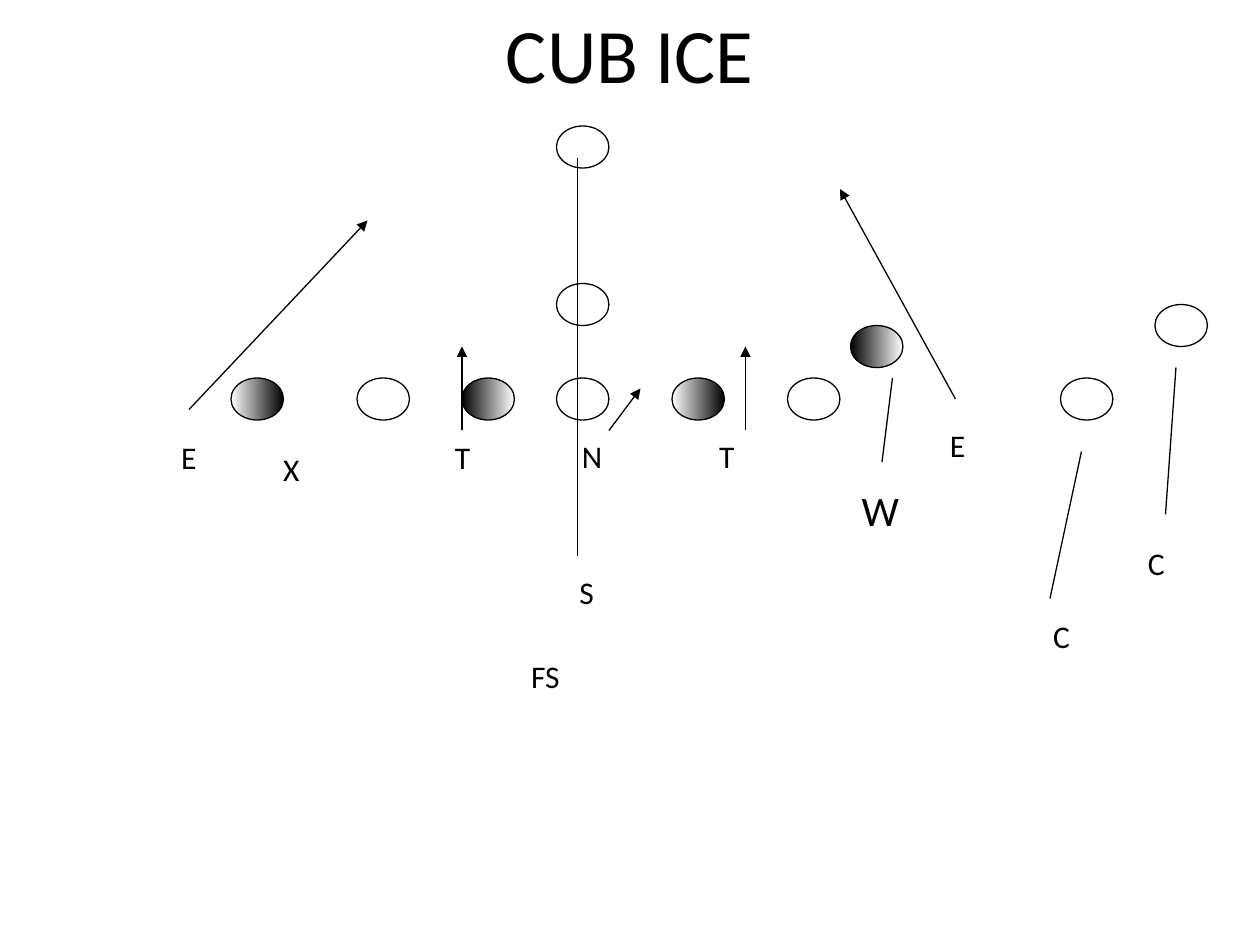
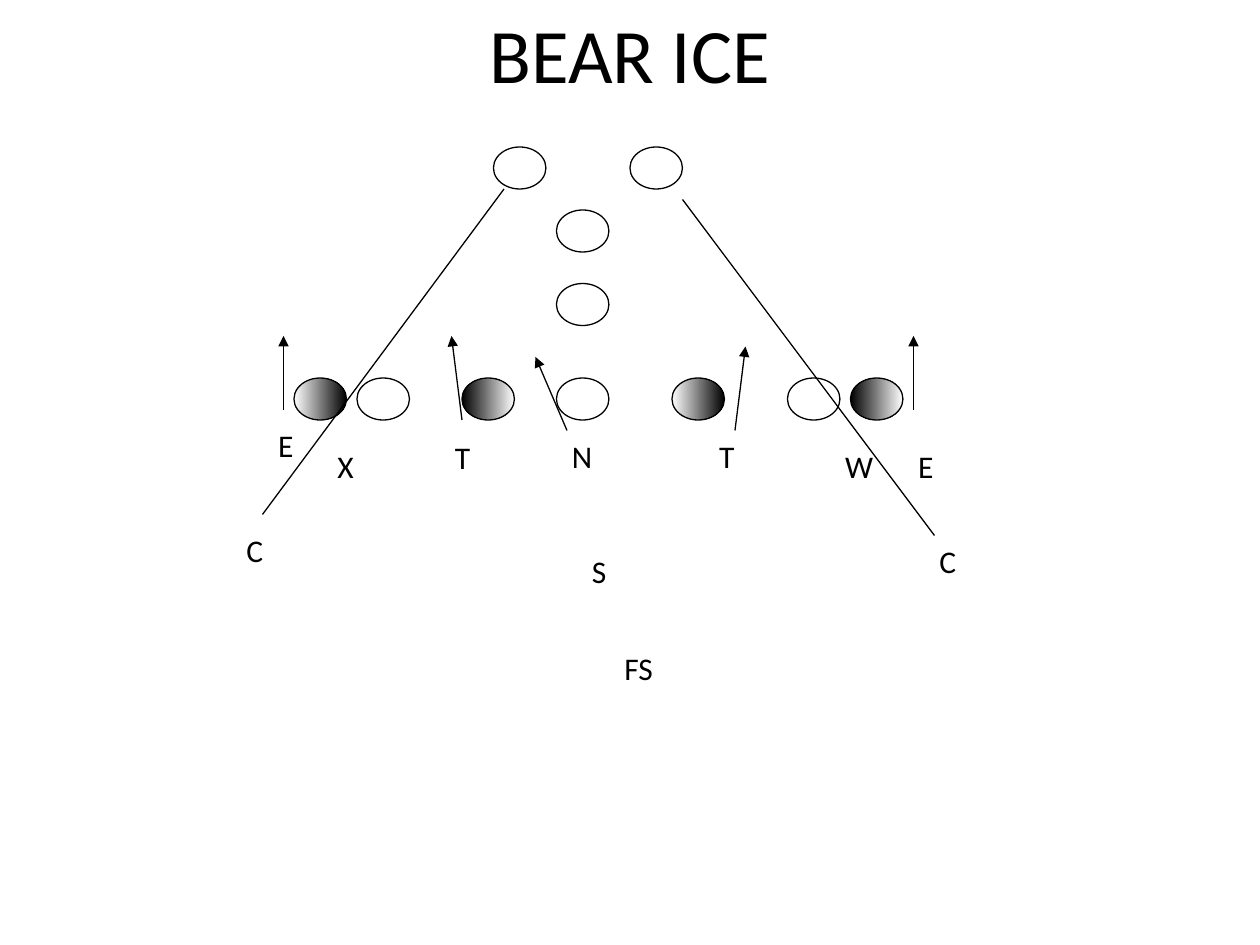
from lxml.etree import SubElement
from pptx import Presentation
from pptx.dml.color import RGBColor
from pptx.enum.shapes import MSO_CONNECTOR as CONN, MSO_SHAPE as SHAPE
from pptx.enum.text import MSO_ANCHOR as ANCHOR, MSO_AUTO_SIZE as AUTO, PP_ALIGN as ALIGN
from pptx.oxml.ns import qn
from pptx.util import Cm, Pt

COLORS = {"ink": "000000", "paper": "FFFFFF"}
INK = RGBColor.from_string(COLORS["ink"])
PAPER = RGBColor.from_string(COLORS["paper"])
FONT = "Calibri"
LINE = Pt(0.75)

# Players and lines sit on a grid with 12 steps to the inch
STEP = 2.54 / 12
FILLS = {"open": (PAPER,), "left": (INK, PAPER), "right": (PAPER, INK)}
LABEL_WIDTHS = {"C": 0.84, "E": 0.81, "N": 0.91, "T": 0.81,
                "X": 0.84, "S": 0.79, "FS": 1.09, "W": 1.07}

# Players: column, row, shaded side
OFFENSE = [(34, 36, "open"), (44, 36, "left"), (53, 36, "open"),
           (64, 36, "right"), (75, 36, "open"), (53, 27, "open")]
# Labels: text, left and top in cm, size in points
TACKLES = [("T", 8.92, 8.71, 18), ("T", 14.25, 8.69, 18)]

PLAYS = [
    {
        "title": "CUB ICE",
        "players": [(22, 36, "right"), (110, 29, "open"), (53, 12, "open"),
                    (101, 36, "open"), (81, 31, "left")],
        "labels": [("E", 3.4, 8.71, 18), ("X", 5.46, 8.94, 18), ("N", 11.48, 8.69, 18),
                   ("W", 17.12, 9.65, 24), ("E", 18.9, 8.46, 18), ("S", 11.43, 11.43, 18),
                   ("FS", 10.46, 13.13, 18), ("C", 20.98, 12.32, 18),
                   ("C", 22.89, 10.85, 18)],
        "rushes": [(18, 39, 35, 21), (44, 41, 44, 33), (58, 41, 61, 37),
                   (71, 41, 71, 33), (91, 38, 80, 18)],
        "coverage": [(55, 53, 55, 15), (84, 44, 85, 36), (100, 57, 103, 43),
                     (111, 49, 112, 35)],
    },
    {
        "title": "BEAR ICE",
        "players": [(28, 36, "right"), (81, 36, "left"), (47, 14, "open"),
                    (60, 14, "open"), (53, 20, "open")],
        "labels": [("E", 5.36, 8.46, 18), ("X", 6.55, 8.89, 18), ("N", 11.28, 8.69, 18),
                   ("W", 16.79, 8.89, 18), ("E", 18.26, 8.89, 18), ("C", 4.72, 10.59, 18),
                   ("S", 11.68, 11, 18), ("FS", 12.34, 12.95, 18), ("C", 18.69, 10.8, 18)],
        "rushes": [(27, 39, 27, 32), (44, 40, 43, 32), (54, 41, 51, 34),
                   (70, 41, 71, 33), (87, 39, 87, 32)],
        "coverage": [(25, 49, 48, 18), (65, 19, 89, 51)],
    },
]


def grid(*steps):
    return [Cm(n * STEP) for n in steps]


def write(tf, text, size=18, align=ALIGN.LEFT, wrap=False, fit=AUTO.SHAPE_TO_FIT_TEXT):
    tf.word_wrap = wrap
    tf.auto_size = fit
    tf.vertical_anchor = ANCHOR.TOP
    p = tf.paragraphs[0]
    p.alignment = align
    r = p.add_run()
    r.text = text
    r.font.name = FONT
    r.font.size = Pt(size)
    r.font.color.rgb = INK


prs = Presentation()
prs.slide_width, prs.slide_height = Cm(25.4), Cm(19.05)

for play in PLAYS:
    s = prs.slides.add_slide(prs.slide_layouts[5])
    title = s.shapes.title
    title.left, title.top, title.width, title.height = grid(9, 0, 102, 15)
    write(title.text_frame, play["title"], size=44, align=ALIGN.CENTER,
          wrap=True, fit=AUTO.NONE)

    for col, row, shade in OFFENSE + play["players"]:
        sp = s.shapes.add_shape(SHAPE.OVAL, *grid(col, row, 5, 4))
        sp.shadow.inherit = False
        sp.line.color.rgb = INK
        sp.line.width = LINE
        if shade == "open":
            sp.fill.solid()
            sp.fill.fore_color.rgb = PAPER
        else:
            sp.fill.gradient()
            sp.fill.gradient_angle = 0
            for stop, color in zip(sp.fill.gradient_stops, FILLS[shade]):
                stop.color.rgb = color

    for text, left, top, size in TACKLES + play["labels"]:
        scale = size / 18
        width = LABEL_WIDTHS[text] if size == 18 else 1.24
        box = s.shapes.add_textbox(Cm(left), Cm(top), Cm(width), Cm(1.02 * scale))
        write(box.text_frame, text, size=size)

    for kind in ("rushes", "coverage"):
        for ends in play[kind]:
            line = s.shapes.add_connector(CONN.STRAIGHT, *grid(*ends))
            line.line.color.rgb = INK
            line.line.width = LINE
            if kind == "rushes":
                SubElement(line.line._get_or_add_ln(), qn("a:tailEnd"), type="triangle")
            SubElement(line._element.spPr, qn("a:effectLst"))

prs.save("out.pptx")
